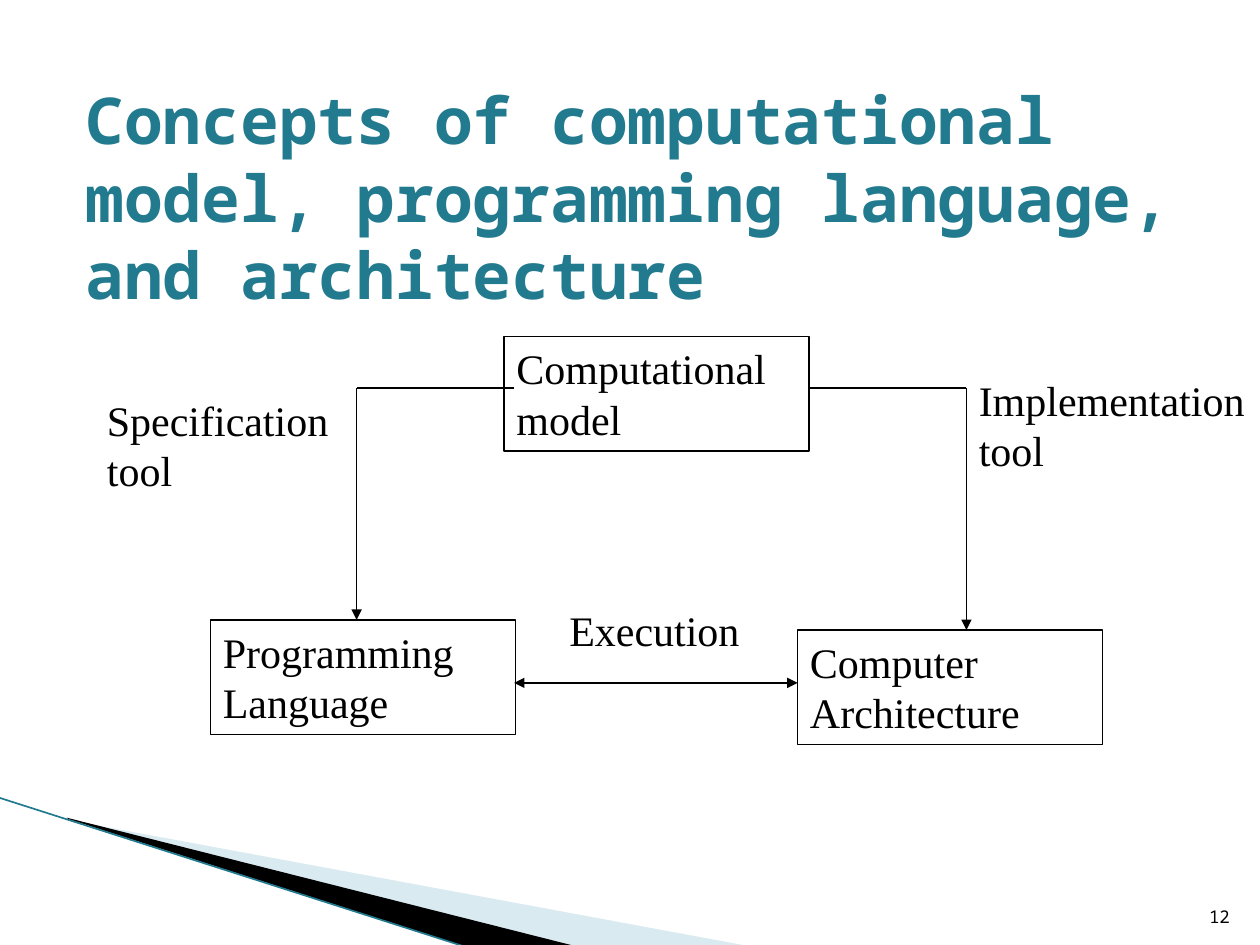
from lxml.etree import SubElement
from pptx import Presentation
from pptx.dml.color import RGBColor
from pptx.enum.shapes import MSO_CONNECTOR as Connector, MSO_SHAPE as Shape
from pptx.enum.text import MSO_ANCHOR as Anchor, PP_ALIGN as Align
from pptx.oxml.ns import qn
from pptx.util import Inches, Pt

COLORS = {"ink": "000000", "title": "227A8F", "pale": "A0CBDC"}
COLORS = {name: RGBColor.from_string(value) for name, value in COLORS.items()}
SERIF, MONO = "Times New Roman", "Noto Sans Mono"

deck = Presentation()
deck.slide_width, deck.slide_height = Inches(10), Inches(7.5)
page = deck.slides.add_slide(deck.slide_layouts[6])


def write(box, text, size=24, name=SERIF, color="ink", bold=False,
          anchor=Anchor.TOP, align=Align.LEFT):
    frame = box.text_frame
    layout = {"word_wrap": True, "vertical_anchor": anchor,
              "margin_left": Inches(0.1), "margin_right": Inches(0.1),
              "margin_top": Inches(0.05), "margin_bottom": Inches(0.05)}
    for key, value in layout.items():
        setattr(frame, key, value)
    para = frame.paragraphs[0]
    para.alignment = align
    span = para.add_run()
    span.text = text
    for key, value in {"size": Pt(size), "name": name, "bold": bold}.items():
        setattr(span.font, key, value)
    span.font.color.rgb = COLORS[color]


def draw_line(start, end, color="ink", width=0.75, arrows=()):
    line = page.shapes.add_connector(
        Connector.STRAIGHT, *[Inches(value) for value in start + end])
    line.line.color.rgb = COLORS[color]
    line.line.width = Pt(width)
    properties = line._element.spPr
    for tag in arrows:
        SubElement(properties.find(qn("a:ln")), qn(tag), type="triangle")
    SubElement(properties, qn("a:effectLst"))


wedges = [
    ("pale", 40, [(0.55, 6.51), (5.95, 7.51), (4.56, 7.51), (0.55, 6.5)]),
    ("ink", 100, [(0.53, 6.49), (4.57, 7.51), (3.72, 7.52), (0.54, 6.5)]),
]
for color, opacity, points in wedges:
    corners = [(Inches(x), Inches(y)) for x, y in points]
    builder = page.shapes.build_freeform(*corners[0])
    builder.add_line_segments(corners[1:], close=True)
    wedge = builder.convert_to_shape()
    wedge.shadow.inherit = False
    wedge.fill.solid()
    wedge.fill.fore_color.rgb = COLORS[color]
    wedge.line.fill.background()
    if opacity < 100:
        fill_color = wedge._element.spPr.find(qn("a:solidFill"))[0]
        SubElement(fill_color, qn("a:alpha"), val=str(opacity * 1000))
draw_line((-0.01, 6.33), (3.71, 7.52), "title", 0.95)

title = page.shapes.add_textbox(Inches(0.58), Inches(0.64), Inches(8.83), Inches(1.84))
write(title, "Concepts of computational model, programming language, and architecture",
      36.9, MONO, "title", True, Anchor.MIDDLE)

nodes = [
    ("Computational model", 4, 2.67),
    ("Programming Language", 1.67, 4.92),
    ("Computer Architecture", 6.33, 5),
]
for text, left, top in nodes:
    node = page.shapes.add_shape(
        Shape.RECTANGLE, Inches(left), Inches(top), Inches(2.42), Inches(0.91))
    node.shadow.inherit = False
    node.fill.background()
    node.line.color.rgb = COLORS["ink"]
    node.line.width = Pt(0.75)
    write(node, text)

links = [
    ((6.42, 3.08), (7.67, 3.08), ()),
    ((7.67, 3.08), (7.67, 5), ("a:tailEnd",)),
    ((4.08, 3.08), (2.83, 3.08), ()),
    ((2.83, 3.08), (2.83, 4.92), ("a:tailEnd",)),
    ((4.08, 5.42), (6.33, 5.42), ("a:headEnd", "a:tailEnd")),
]
for start, end, arrows in links:
    draw_line(start, end, arrows=arrows)

labels = [
    ("Specification tool", 0.75, 3.08, 2.08, 0.9),
    ("Implementation tool", 7.67, 2.92, 2.33, 0.9),
    ("Execution", 4.42, 4.75, 2.08, 0.5),
]
for text, *bounds in labels:
    write(page.shapes.add_textbox(*[Inches(value) for value in bounds]), text)

number = page.shapes.add_textbox(Inches(9.46), Inches(7.01), Inches(0.4), Inches(0.4))
write(number, "12", 10, MONO, anchor=Anchor.BOTTOM, align=Align.RIGHT)

deck.save("out.pptx")
